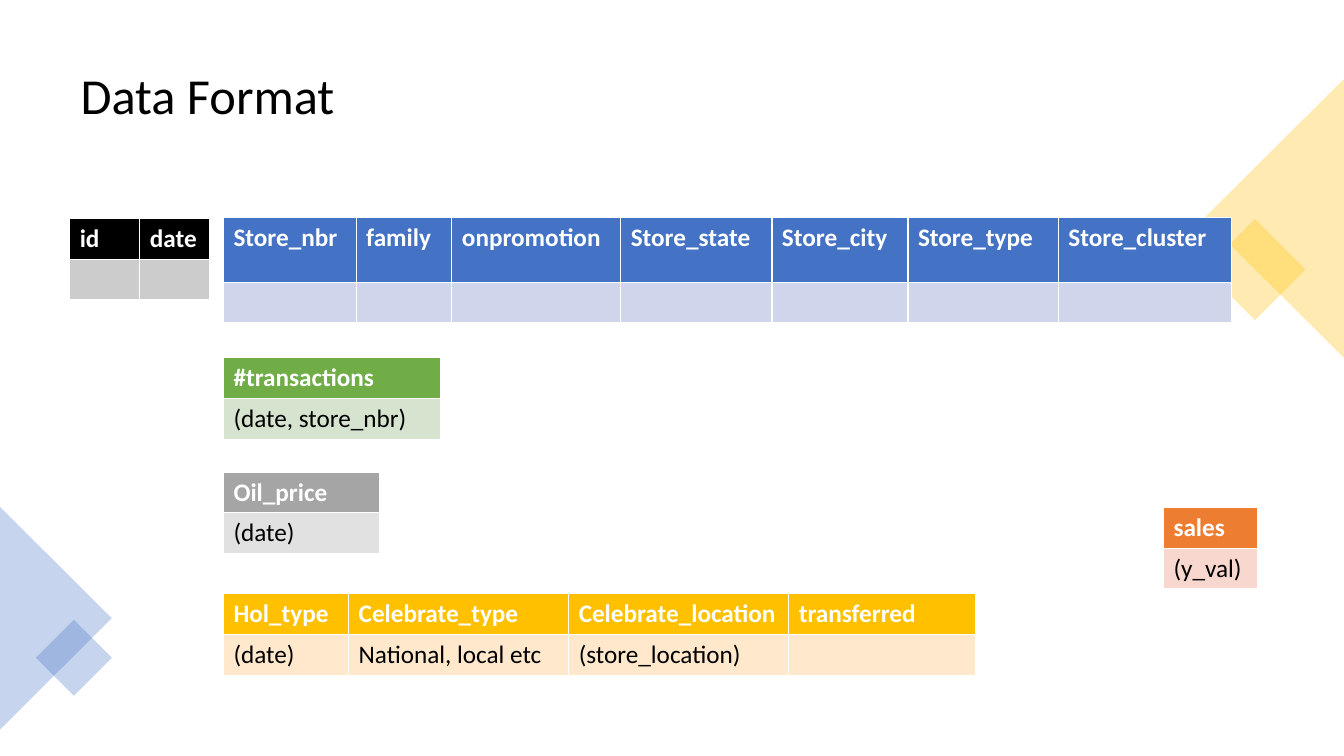
from pptx import Presentation
from pptx.dml.color import RGBColor
from pptx.enum.shapes import MSO_SHAPE
from pptx.enum.text import MSO_ANCHOR
from pptx.oxml.ns import qn
from pptx.util import Inches, Pt
from lxml.etree import SubElement

BLACK, WHITE = RGBColor(0, 0, 0), RGBColor(255, 255, 255)
SILVER = RGBColor(0xCC, 0xCC, 0xCC)
BLUE, PALE_BLUE = RGBColor(0x44, 0x72, 0xC4), RGBColor(0xCF, 0xD5, 0xEA)
GREEN, PALE_GREEN = RGBColor(0x70, 0xAD, 0x47), RGBColor(0xD5, 0xE3, 0xCF)
GREY, PALE_GREY = RGBColor(0xA5, 0xA5, 0xA5), RGBColor(0xE1, 0xE1, 0xE1)
ORANGE, PALE_ORANGE = RGBColor(0xED, 0x7D, 0x31), RGBColor(0xF8, 0xD7, 0xCE)
GOLD, PALE_GOLD = RGBColor(0xFF, 0xC0, 0), RGBColor(0xFF, 0xE8, 0xCC)

# The slide is a grid of 160 columns by 90 rows
COLUMNS, ROWS = 160, 90
FEATURES_LEFT = 26.6
ROW_HEIGHT = 4.86


class Deck:
    font = "Calibri"
    body_size, title_size = 18, 36

    def __init__(self):
        self.presentation = Presentation()
        self.presentation.slide_width = Inches(13.33)
        self.presentation.slide_height = Inches(7.5)
        self.slide = self.presentation.slides.add_slide(
            self.presentation.slide_layouts[6])

    def x(self, columns):
        return round(self.presentation.slide_width * columns / COLUMNS)

    def y(self, rows):
        return round(self.presentation.slide_height * rows / ROWS)

    def box(self, left, top, width, height):
        return self.x(left), self.y(top), self.x(width), self.y(height)

    def run(self, paragraph, text, size, color, bold=False):
        run = paragraph.add_run()
        run.text = text
        run.font.name, run.font.size, run.font.bold = self.font, Pt(size), bold
        run.font.color.rgb = color

    def title(self, text, *place):
        frame = self.slide.shapes.add_textbox(*self.box(*place)).text_frame
        frame.word_wrap = True
        frame.vertical_anchor = MSO_ANCHOR.MIDDLE
        frame.paragraphs[0].line_spacing = 0.9
        self.run(frame.paragraphs[0], text, self.title_size, BLACK)

    def accent(self, kind, center_x, center_y, width, height, turn, color):
        place = self.box(center_x - width / 2, center_y - height / 2, width, height)
        accent = self.slide.shapes.add_shape(kind, *place)
        accent.rotation = turn
        accent.shadow.inherit = False
        accent.line.fill.background()
        accent.fill.solid()
        accent.fill.fore_color.rgb = color
        tint = accent.fill._xPr.find(qn("a:solidFill"))[0]
        SubElement(tint, qn("a:alpha")).set("val", "30000")

    def table(self, left, top, fields, header_fill, body_fill,
              heights=(ROW_HEIGHT, ROW_HEIGHT)):
        """Each field is (name, note, width); the header sits over the notes."""
        widths = [width for _, _, width in fields]
        place = self.box(left, top, sum(widths), sum(heights))
        table = self.slide.shapes.add_table(2, len(fields), *place).table
        table.horz_banding = False
        for row, height in zip(table.rows, heights):
            row.height = self.y(height)
        for column, (name, note, width) in enumerate(fields):
            table.columns[column].width = self.x(width)
            cells = ((name, header_fill, WHITE, True), (note, body_fill, BLACK, False))
            for row, (text, fill, color, bold) in enumerate(cells):
                cell = table.cell(row, column)
                cell.fill.solid()
                cell.fill.fore_color.rgb = fill
                if text:
                    self.run(cell.text_frame.paragraphs[0], text,
                             self.body_size, color, bold)


deck = Deck()
deck.title("Data Format", 8.4, 4.2, 143.2, 14.9)

# Corner accents: gold on the right, blue on the left
deck.accent(MSO_SHAPE.RECTANGLE, 149.4, 32.1, 8.5, 8.5, 45, GOLD)
deck.accent(MSO_SHAPE.ISOSCELES_TRIANGLE, 151.65, 26, 33.2, 16.7, 270, GOLD)
deck.accent(MSO_SHAPE.ISOSCELES_TRIANGLE, 6.65, 73.6, 26.5, 13.3, 90, BLUE)
deck.accent(MSO_SHAPE.RECTANGLE, 8.8, 78.3, 6.4, 6.4, 45, BLUE)

# Store features and row keys
store_fields = [("Store_nbr", "", 15.8), ("family", "", 11.4),
                ("onpromotion", "", 20.1), ("Store_state", "", 18),
                ("Store_city", "", 16.2), ("Store_type", "", 17.9),
                ("Store_cluster", "", 20.6)]
deck.table(FEATURES_LEFT, 25.9, store_fields, BLUE, PALE_BLUE, (7.7, 4.45))
deck.table(8.3, 26, [("id", "", 8.35), ("date", "", 8.35)], BLACK, SILVER)

# Joined features, each with its join key
deck.table(FEATURES_LEFT, 42.6, [("#transactions", "(date, store_nbr)", 25.9)],
           GREEN, PALE_GREEN)
deck.table(FEATURES_LEFT, 56.2, [("Oil_price", "(date)", 18.6)], GREY, PALE_GREY)
holiday_fields = [("Hol_type", "(date)", 14.9),
                  ("Celebrate_type", "National, local etc", 26.2),
                  ("Celebrate_location", "(store_location)", 26.2),
                  ("transferred", "", 22.3)]
deck.table(FEATURES_LEFT, 70.7, holiday_fields, GOLD, PALE_GOLD)

# Target value
deck.table(138.5, 60.4, [("sales", "(y_val)", 11.2)], ORANGE, PALE_ORANGE)

deck.presentation.save("out.pptx")
